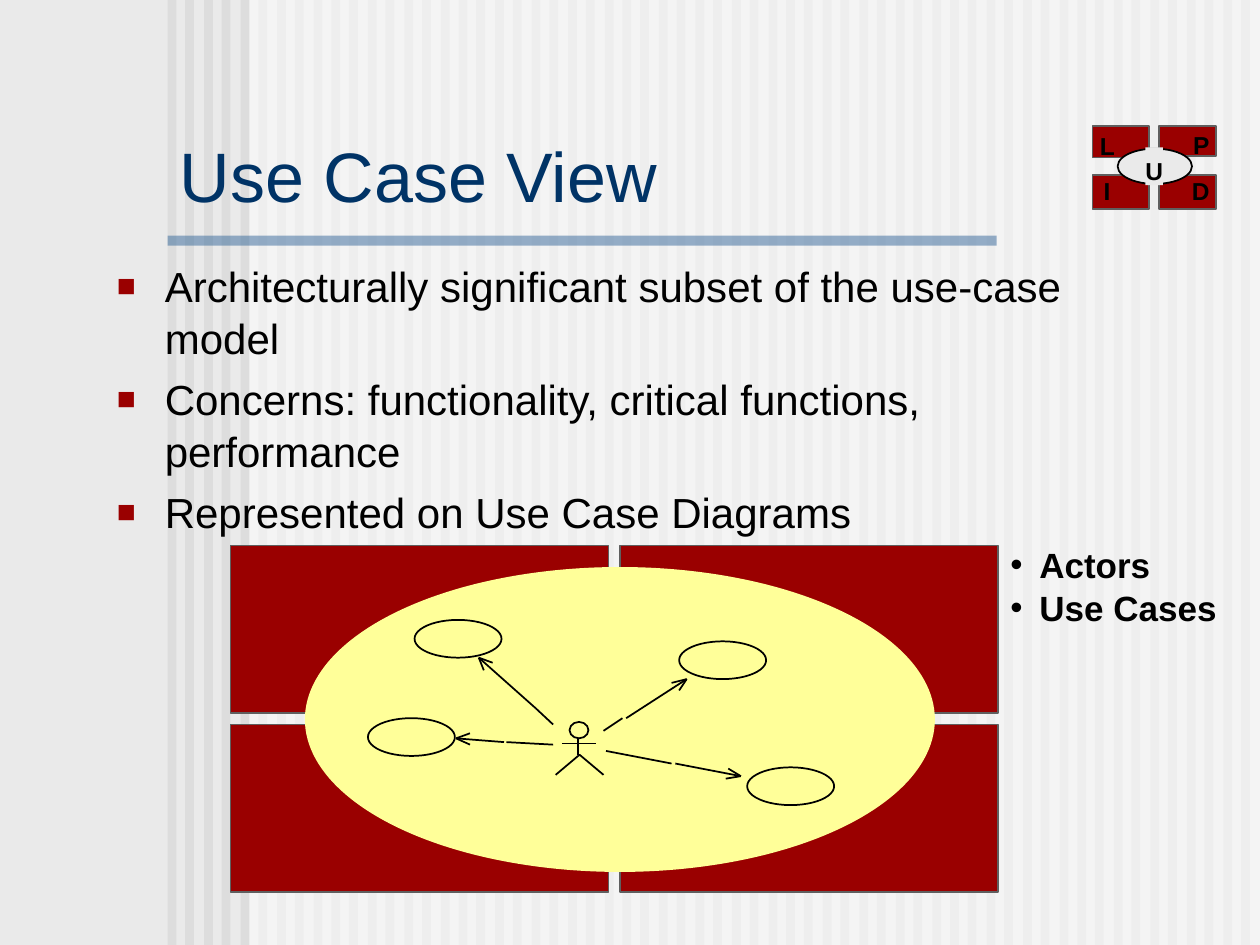
import pptx
import pptx.dml.color
import pptx.enum.shapes
import pptx.enum.text
import pptx.oxml.ns
import pptx.oxml.xmlchemy
import pptx.util

Inches = pptx.util.Inches
Pt = pptx.util.Pt
SHAPE = pptx.enum.shapes.MSO_SHAPE
ANCHOR = pptx.enum.text.MSO_ANCHOR
FONT = "Arial"
BLACK, RED, GREY, BACK = "000000", "9A0000", "5F5F5F", "EAEAEA"


def color(value):
    return pptx.dml.color.RGBColor.from_string(value)


def add_xml(parent, tag, **attrs):
    child = pptx.oxml.xmlchemy.OxmlElement(tag)
    for name, value in attrs.items():
        child.set(name, str(value))
    parent.append(child)
    return child


def style(sp, fill=None, line=None, alpha=None):
    sp.shadow.inherit = False
    if fill:
        sp.fill.solid()
        sp.fill.fore_color.rgb = color(fill)
    else:
        sp.fill.background()
    if alpha:
        clr = sp._element.spPr.find(".//" + pptx.oxml.ns.qn("a:srgbClr"))
        add_xml(clr, "a:alpha", val=alpha * 1000)
    if line:
        sp.line.color.rgb = color(line)
        sp.line.width = Pt(1)
    else:
        sp.line.fill.background()
    return sp


def add_shape(s, kind, x, y, w, h, fill=None, line=None, alpha=None):
    sp = s.shapes.add_shape(kind, Inches(x), Inches(y), Inches(w), Inches(h))
    return style(sp, fill, line, alpha)


def add_line(s, x1, y1, x2, y2):
    sp = s.shapes.add_connector(pptx.enum.shapes.MSO_CONNECTOR.STRAIGHT,
                                Inches(x1), Inches(y1), Inches(x2), Inches(y2))
    sp.line.color.rgb = color(BLACK)
    sp.line.width = Pt(1)
    add_xml(sp._element.spPr, "a:effectLst")


def add_arrow(s, start, gap_start, gap_end, tip, barbs):
    add_line(s, *start, *gap_start)
    add_line(s, *gap_end, *tip)
    for barb in barbs:
        add_line(s, *tip, *barb)


def add_bullet(p, char, indent, bullet_color, size):
    pPr = p._p.get_or_add_pPr()
    pPr.set("marL", str(Inches(indent)))
    pPr.set("indent", str(-Inches(indent)))
    add_xml(add_xml(pPr, "a:buClr"), "a:srgbClr", val=bullet_color)
    add_xml(pPr, "a:buSzPct", val=size * 1000)
    add_xml(pPr, "a:buFont", typeface=FONT)
    add_xml(pPr, "a:buChar", char=char)


def fill_text(sp, lines, size, text_color=BLACK, bold=False, spacing=None,
              before=None, bullet=None, wrap=True, anchor=ANCHOR.TOP, inset=None):
    tf = sp.text_frame
    tf.word_wrap = wrap
    tf.vertical_anchor = anchor
    if inset is not None:
        tf.margin_left = tf.margin_right = Inches(inset)
        tf.margin_top = tf.margin_bottom = Inches(inset)
    for i, line in enumerate(lines):
        p = tf.add_paragraph() if i else tf.paragraphs[0]
        p.alignment = pptx.enum.text.PP_ALIGN.LEFT
        if spacing:
            p.line_spacing = spacing
        if before:
            p.space_before = Pt(before)
        if bullet:
            add_bullet(p, *bullet)
        r = p.add_run()
        r.text = line
        r.font.name = FONT
        r.font.size = Pt(size)
        r.font.bold = bold
        r.font.color.rgb = color(text_color)


def add_text(s, x, y, w, h, lines, size, **options):
    sp = s.shapes.add_textbox(Inches(x), Inches(y), Inches(w), Inches(h))
    fill_text(sp, lines, size, **options)


def draw_backdrop(s):
    s.background.fill.solid()
    s.background.fill.fore_color.rgb = color(BACK)
    for i in range(60):
        add_shape(s, SHAPE.RECTANGLE, round(1.33 + i * 8.52 / 59, 2), 0, 0.07, 7.5, "DDDDDD")
    add_shape(s, SHAPE.RECTANGLE, 1.98, 0, 8.02, 7.5, "FFFFFF", alpha=50)
    add_shape(s, SHAPE.RECTANGLE, 1.33, 1.87, 6.58, 0.08, "336699", alpha=50)


def draw_actor(s):
    add_shape(s, SHAPE.OVAL, 4.52, 5.73, 0.15, 0.13, line=BLACK)
    add_line(s, 4.59, 5.86, 4.59, 5.99)
    add_line(s, 4.46, 5.9, 4.73, 5.9)
    legs = s.shapes.build_freeform(Inches(4.41), Inches(6.15))
    legs.add_line_segments([(Inches(4.6), Inches(5.99)), (Inches(4.79), Inches(6.15))], close=False)
    style(legs.convert_to_shape(), line=BLACK)


def draw_use_case_diagram(s):
    for x in (1.83, 4.92):
        for y in (4.33, 5.75):
            add_shape(s, SHAPE.RECTANGLE, x, y, 3, 1.33, RED, GREY)
    add_shape(s, SHAPE.OVAL, 2.42, 4.5, 5, 2.42, "FFFF99")
    for x, y in ((2.92, 5.7), (3.29, 4.92), (5.39, 5.09), (5.93, 6.09)):
        add_shape(s, SHAPE.OVAL, x, y, 0.69, 0.3, line=BLACK)
    draw_actor(s)
    arrows = [
        ((4.39, 5.91), (4.02, 5.89), (4, 5.89), (3.62, 5.86), [(3.73, 5.82), (3.73, 5.91)]),
        ((4.39, 5.75), (4.25, 5.62), (4.25, 5.62), (3.8, 5.22), [(3.91, 5.26), (3.84, 5.32)]),
        ((4.79, 5.8), (4.94, 5.7), (4.97, 5.7), (5.45, 5.39), [(5.39, 5.48), (5.33, 5.42)]),
        ((4.81, 5.96), (5.33, 6.06), (5.36, 6.06), (5.88, 6.16), [(5.78, 6.1), (5.76, 6.18)]),
    ]
    for arrow in arrows:
        add_arrow(s, *arrow)


def draw_view_key(s):
    label = dict(size=14, bold=True, wrap=False, inset=0)
    views = [
        ("L", 8.67, 1, 0.25, 8.73, 1.04, 0.12, 0.23, None),
        ("P", 9.2, 1, 0.24, 9.47, 1.03, 0.13, 0.23, None),
        ("I", 8.67, 1.39, 0.27, 8.76, 1.33, 0.05, 0.3, 1.3),
        ("D", 9.2, 1.39, 0.27, 9.46, 1.33, 0.14, 0.3, 1.3),
    ]
    for letter, x, y, h, text_x, text_y, text_w, text_h, spacing in views:
        add_shape(s, SHAPE.RECTANGLE, x, y, 0.45, h, RED, GREY)
        add_text(s, text_x, text_y, text_w, text_h, [letter], spacing=spacing, **label)
    add_shape(s, SHAPE.OVAL, 8.87, 1.18, 0.59, 0.28, BACK, BLACK)
    center = add_shape(s, SHAPE.RECTANGLE, 9.09, 1.17, 0.14, 0.3, BACK)
    fill_text(center, ["U"], spacing=1.3, **label)


def main():
    prs = pptx.Presentation()
    prs.slide_width, prs.slide_height = Inches(10), Inches(7.5)
    s = prs.slides.add_slide(prs.slide_layouts[6])
    draw_backdrop(s)
    draw_use_case_diagram(s)
    draw_view_key(s)
    add_text(s, 7.92, 4.25, 1.92, 0.77, ["Actors", "Use Cases"], 20, bold=True,
             spacing=1.04, bullet=("•", 0.23, BLACK, 100))
    add_text(s, 1.33, 1.08, 7.33, 0.69, ["Use Case View"], 40,
             text_color="003366", anchor=ANCHOR.BOTTOM)
    add_text(s, 0.83, 2, 7.83, 2.17, [
        "Architecturally significant subset of the use-case model",
        "Concerns: functionality, critical functions, performance",
        "Represented on Use Case Diagrams",
    ], 24, spacing=1.04, before=4.8, bullet=("■", 0.38, RED, 75))
    prs.save("out.pptx")


if __name__ == "__main__":
    main()
